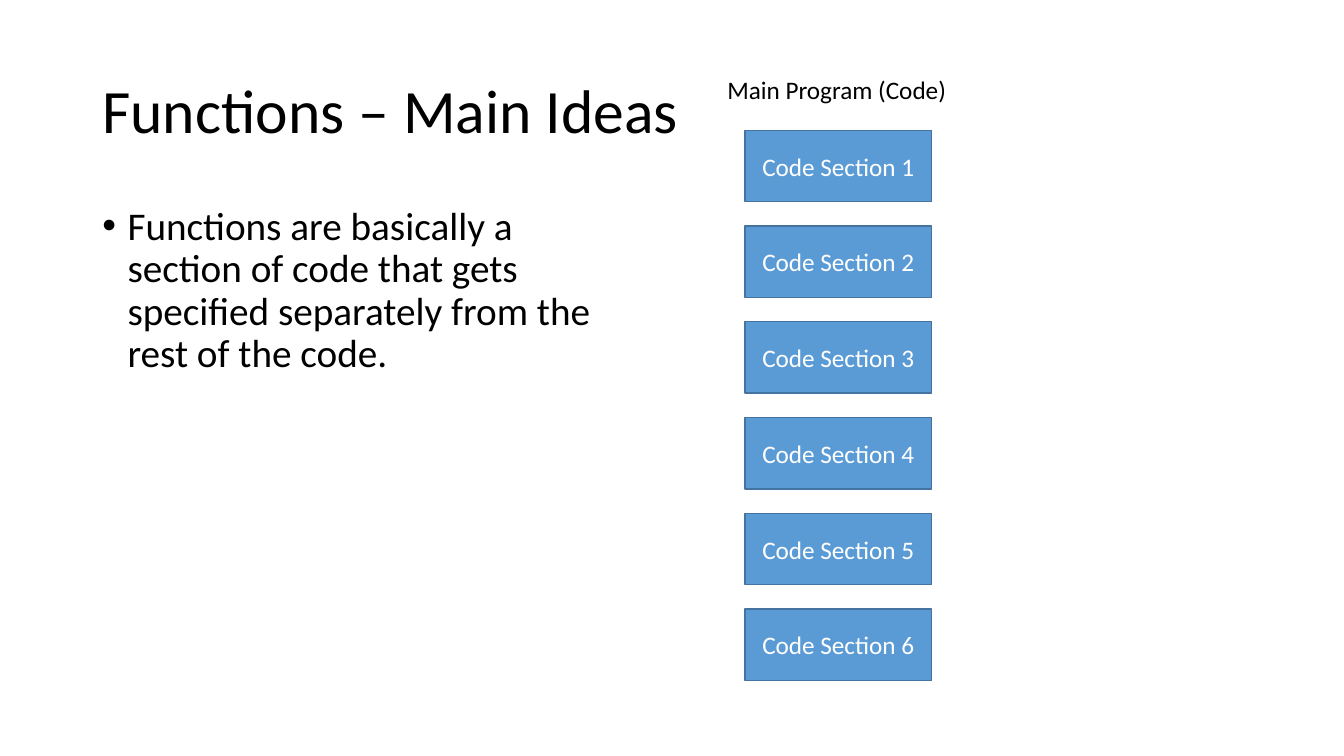
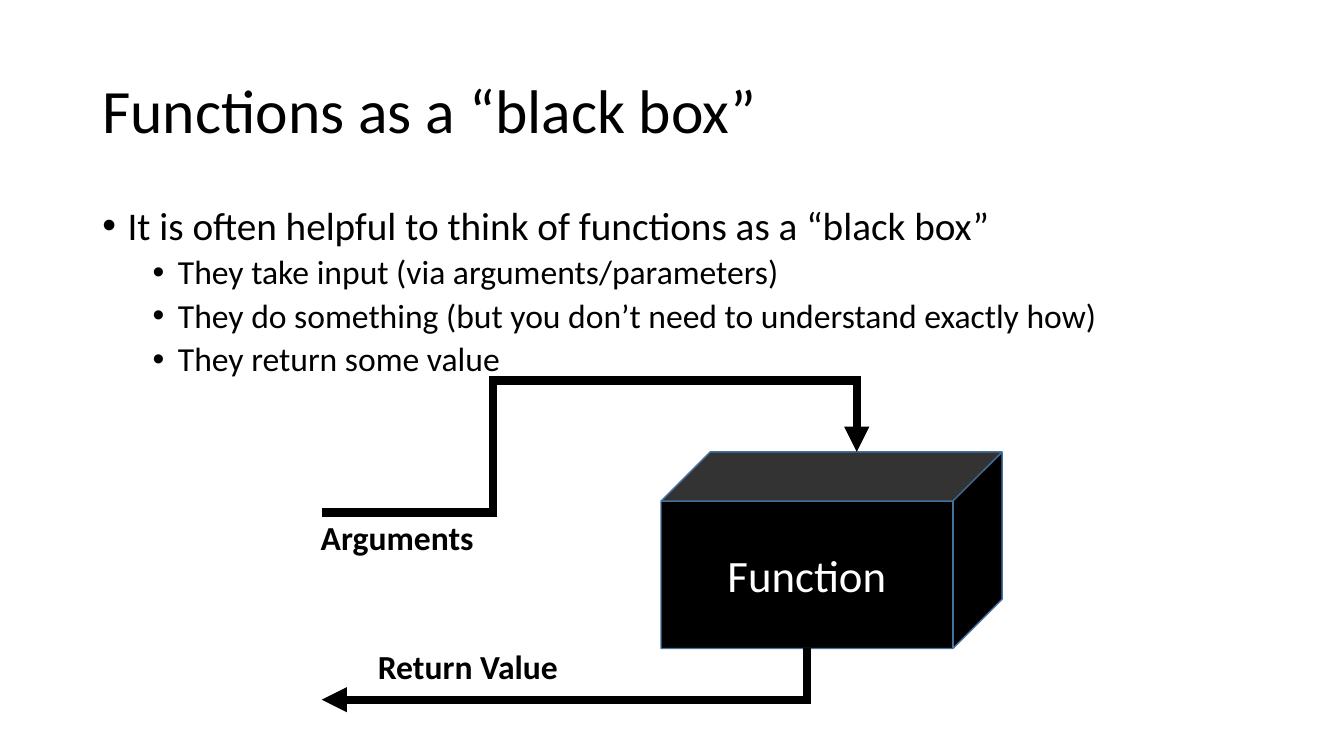
from dataclasses import dataclass

from lxml import etree
from pptx import Presentation
from pptx import util as u
from pptx.dml.color import RGBColor
from pptx.enum import shapes, text
from pptx.oxml.ns import qn


@dataclass(frozen=True)
class Theme:
    font: str = "Calibri"
    ink: str = "000000"
    paper: str = "FFFFFF"
    accent: str = "5B9BD5"
    outline: str = "43739E"
    title_size: int = 44
    body_sizes: tuple = (28, 24)
    body_gaps: tuple = (10, 5)
    body_indents: tuple = (0.25, 0.75)
    hanging: float = 0.25
    label_size: int = 18
    caption_size: int = 24
    box_size: int = 32
    outline_width: int = 1
    arrow_width: int = 6


class Slides:
    """Draws on the current page; all lengths are grid columns and rows."""

    columns, rows = 16, 9
    margin, content_width = 1.1, 13.8

    def __init__(self, theme):
        self.theme = theme
        self.deck = Presentation()
        self.deck.slide_width = u.Inches(13.33)
        self.deck.slide_height = u.Inches(7.5)
        self.page = None

    def x(self, column):
        return round(self.deck.slide_width * column / self.columns)

    def y(self, row):
        return round(self.deck.slide_height * row / self.rows)

    def frame(self, left, top, width, height):
        return self.x(left), self.y(top), self.x(width), self.y(height)

    def start(self, title, title_width=content_width):
        self.page = self.deck.slides.add_slide(self.deck.slide_layouts[6])
        box = self.text_box((self.margin, 0.48, title_width, 1.74))
        box.text_frame.vertical_anchor = text.MSO_ANCHOR.MIDDLE
        box.text_frame.text = title
        para = box.text_frame.paragraphs[0]
        para.line_spacing = 0.9
        self.style(para, self.theme.title_size)

    def style(self, para, size, color=None, bold=False):
        for span in para.runs:
            span.font.name = self.theme.font
            span.font.size = u.Pt(size)
            span.font.bold = bold
            span.font.color.rgb = RGBColor.from_string(color or self.theme.ink)

    def text_box(self, area):
        box = self.page.shapes.add_textbox(*self.frame(*area))
        box.text_frame.word_wrap = True
        return box

    def label(self, words, area, size, bold=False):
        box = self.text_box(area)
        box.text_frame.word_wrap = False
        box.text_frame.auto_size = text.MSO_AUTO_SIZE.SHAPE_TO_FIT_TEXT
        box.text_frame.text = words
        self.style(box.text_frame.paragraphs[0], size, bold=bold)

    def bullets(self, items, width, height):
        """Items are (level, words) pairs."""
        theme = self.theme
        box = self.text_box((self.margin, 2.4, width, height))
        box.text_frame.text = "\n".join(words for _, words in items)
        for para, (level, _) in zip(box.text_frame.paragraphs, items):
            para.level = level
            para.line_spacing = 0.9
            para.space_before = u.Pt(theme.body_gaps[level])
            self.style(para, theme.body_sizes[level])
            # Bullet sign and hanging indent
            props = para._p.get_or_add_pPr()
            props.set("marL", str(u.Inches(theme.body_indents[level])))
            props.set("indent", str(-u.Inches(theme.hanging)))
            etree.SubElement(props, qn("a:buFont"), typeface="Arial")
            etree.SubElement(props, qn("a:buChar"), char="•")

    def block(self, kind, words, area, fill, size):
        block = self.page.shapes.add_shape(kind, *self.frame(*area))
        block.shadow.inherit = False
        block.fill.solid()
        block.fill.fore_color.rgb = RGBColor.from_string(fill)
        block.line.color.rgb = RGBColor.from_string(self.theme.outline)
        block.line.width = u.Pt(self.theme.outline_width)
        block.text_frame.vertical_anchor = text.MSO_ANCHOR.MIDDLE
        block.text_frame.text = words
        para = block.text_frame.paragraphs[0]
        para.alignment = text.PP_ALIGN.CENTER
        self.style(para, size, self.theme.paper)
        return block

    def bent_arrow(self, start, end, preset, bends=(), quarter_turn=False,
                   source=None, target=None):
        """Source and target are (shape, connection site) pairs."""
        x1, y1, x2, y2 = (self.x(start[0]), self.y(start[1]),
                          self.x(end[0]), self.y(end[1]))
        if quarter_turn:
            # Ends before the turn about the centre
            mid_x, mid_y = (x1 + x2) // 2, (y1 + y2) // 2
            half_x, half_y = (x2 - x1) // 2, (y2 - y1) // 2
            x1, y1 = mid_x - half_y, mid_y + half_x
            x2, y2 = mid_x + half_y, mid_y - half_x
        arrow = self.page.shapes.add_connector(
            shapes.MSO_CONNECTOR.ELBOW, x1, y1, x2, y2)
        if source:
            arrow.begin_connect(*source)
        if target:
            arrow.end_connect(*target)
        arrow.begin_x, arrow.begin_y = x1, y1
        arrow.end_x, arrow.end_y = x2, y2
        arrow.line.color.rgb = RGBColor.from_string(self.theme.ink)
        arrow.line.width = u.Pt(self.theme.arrow_width)

        # Route, corners, arrowhead and no shadow
        props = arrow._element.spPr
        if quarter_turn:
            props.find(qn("a:xfrm")).set("rot", str(90 * 60000))
        shape = props.find(qn("a:prstGeom"))
        shape.set("prst", preset)
        guides = shape.find(qn("a:avLst"))
        for number, share in enumerate(bends, 1):
            etree.SubElement(guides, qn("a:gd"), name=f"adj{number}",
                             fmla=f"val {round(share * 100000)}")
        line = props.find(qn("a:ln"))
        etree.SubElement(line, qn("a:miter"), lim="800000")
        etree.SubElement(line, qn("a:tailEnd"), type="triangle")
        etree.SubElement(props, qn("a:effectLst"))


def main_ideas(slides):
    theme = slides.theme
    slides.start("Functions – Main Ideas", 7.44)
    slides.bullets([(0, "Functions are basically a section of code that gets "
                        "specified separately from the rest of the code.")],
                   6.5, 5.71)
    # Column of code sections
    for index in range(6):
        slides.block(shapes.MSO_SHAPE.RECTANGLE, f"Code Section {index + 1}",
                     (8.87, 1.55 + 1.14 * index, 2.22, 0.85),
                     theme.accent, theme.label_size)
    slides.label("Main Program (Code)", (8.54, 0.82, 2.88, 0.48),
                 theme.label_size)


def black_box(slides):
    theme = slides.theme
    slides.start("Functions as a “black box”")
    slides.bullets([
        (0, "It is often helpful to think of functions as a “black box”"),
        (1, "They take input (via arguments/parameters)"),
        (1, "They do something (but you don’t need to understand exactly how)"),
        (1, "They return some value"),
    ], slides.content_width, 2.28)
    # Function with its input and output
    top, height, outside = 5.38, 2.34, 3.83
    cube = slides.block(shapes.MSO_SHAPE.CUBE, "Function",
                        (7.87, top, 4.06, height), theme.ink, theme.box_size)
    slides.bent_arrow((outside, 6.1), (10.2, top), "bentConnector4",
                      bends=(0.32, 2.18), target=(cube, 0))
    slides.bent_arrow((9.61, top + height), (outside, 8.33), "bentConnector2",
                      quarter_turn=True, source=(cube, 3))
    for words, area in (("Arguments", (3.7, 6.1, 2.08, 0.6)),
                        ("Return Value", (4.38, 7.63, 2.41, 0.6))):
        slides.label(words, area, theme.caption_size, bold=True)


def main():
    slides = Slides(Theme())
    main_ideas(slides)
    black_box(slides)
    slides.deck.save("out.pptx")


if __name__ == "__main__":
    main()
